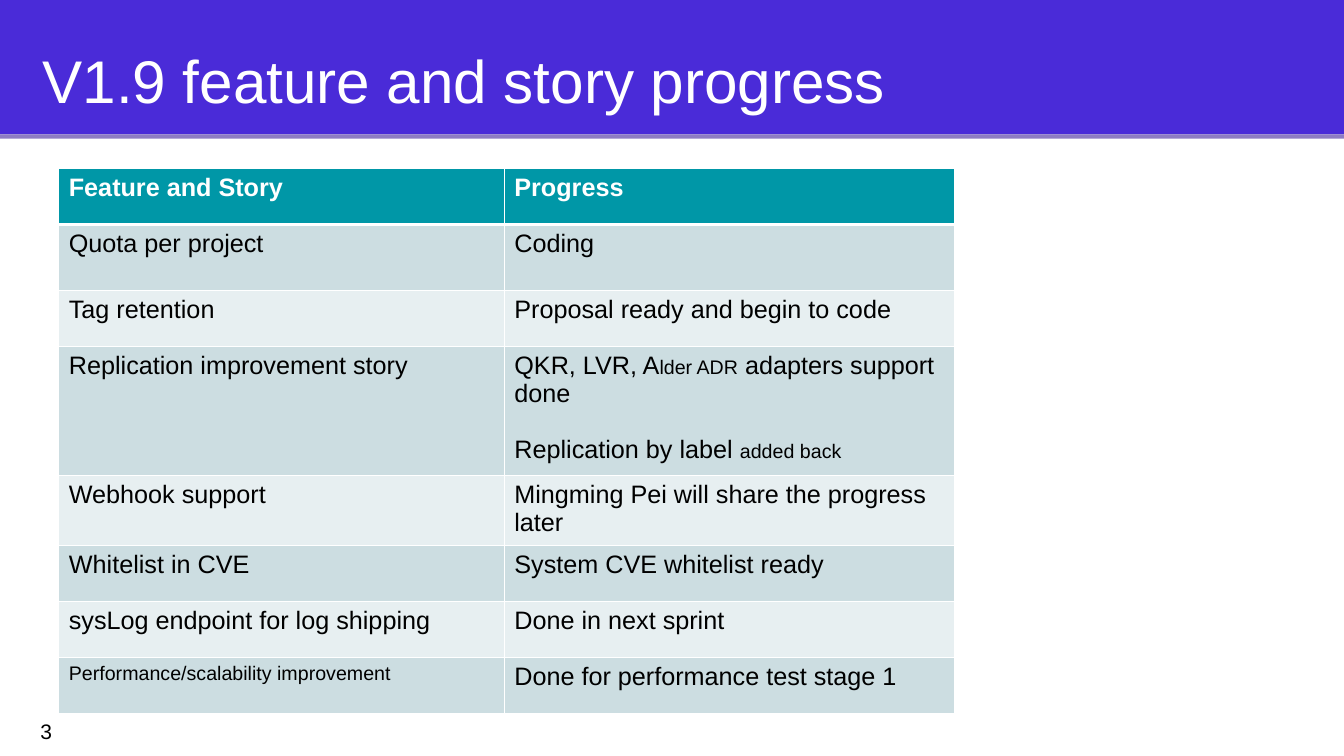
from dataclasses import dataclass

from lxml import etree
from pptx import Presentation
from pptx.dml.color import RGBColor
from pptx.enum.shapes import MSO_SHAPE
from pptx.enum.text import MSO_ANCHOR
from pptx.oxml.ns import qn
from pptx.util import Pt

RECT = MSO_SHAPE.RECTANGLE
TOP, MIDDLE = MSO_ANCHOR.TOP, MSO_ANCHOR.MIDDLE


@dataclass(frozen=True)
class Theme:
    font: str = "Arial"
    band: str = "4A2BD8"
    strip: str = "8E7CC3"
    header: str = "0097A7"
    rows: tuple = ("CCDDE1", "E7EFF1")
    light: str = "FFFFFF"
    dark: str = "000000"
    title: float = 43
    body: float = 18
    small: float = 14
    number: float = 15
    inset: float = 9.36
    gap: float = 20


T = Theme()

# Each cell is a list of paragraphs; each paragraph is a list of (text, size) runs
HEADINGS = ("Feature and Story", "Progress")
STORIES = [
    ("Quota per project", "Coding"),
    ("Tag retention", "Proposal ready and begin to code"),
    ("Replication improvement story", [
        [("QKR, LVR, A", T.body), ("lder ADR", T.small),
         (" adapters support done", T.body)],
        [("Replication by label ", T.body), ("added back", T.small)],
    ]),
    ("Webhook support", "Mingming Pei will share the progress later"),
    ("Whitelist in CVE", "System CVE whitelist ready"),
    ("sysLog endpoint for log shipping", "Done in next sprint"),
    ([[("Performance/scalability improvement", T.small)]],
     "Done for performance test stage 1"),
]
COL_WIDTHS = (318.24, 321.84)
ROW_HEIGHTS = (40, 47, 40, 88, 47, 40, 40, 40)


def style(font, size, color, bold=False):
    font.name, font.size, font.bold = T.font, Pt(size), bold
    font.color.rgb = RGBColor.from_string(color)


def add_bar(s, x, y, w, h, color):
    sp = s.shapes.add_shape(RECT, Pt(x), Pt(y), Pt(w), Pt(h))
    sp.shadow.inherit = False
    sp.fill.solid()
    sp.fill.fore_color.rgb = RGBColor.from_string(color)
    sp.line.fill.background()


def add_text(s, x, y, w, h, text, size, color, anchor):
    tf = s.shapes.add_textbox(Pt(x), Pt(y), Pt(w), Pt(h)).text_frame
    tf.word_wrap = True
    tf.vertical_anchor = anchor
    tf.margin_left = tf.margin_right = Pt(T.inset)
    tf.margin_top = tf.margin_bottom = Pt(T.inset)
    tf.text = text
    style(tf.paragraphs[0].runs[0].font, size, color)


def add_header(s, x, y, w, h):
    # Band, thin strip below it, and the title
    add_bar(s, x, y, w, h, T.band)
    add_bar(s, x, y + h, w, 3, T.strip)
    add_text(s, x + 21, y + 21.6, w - 66, 70, "V1.9 feature and story progress",
             T.title, T.light, TOP)


def set_borders(cell, widths):
    tcPr = cell._tc.get_or_add_tcPr()
    for side, width in widths.items():
        ln = etree.SubElement(tcPr, qn(f"a:ln{side}"), w=str(Pt(width)))
        fill = etree.SubElement(ln, qn("a:solidFill"))
        etree.SubElement(fill, qn("a:srgbClr"), val=T.light)


def fill_cell(cell, content, fill, color, bold):
    cell.fill.solid()
    cell.fill.fore_color.rgb = RGBColor.from_string(fill)
    if isinstance(content, str):
        content = [[(content, T.body)]]
    tf = cell.text_frame
    for i, runs in enumerate(content):
        p = tf.add_paragraph() if i else tf.paragraphs[0]
        if i:
            p.space_before = Pt(T.gap)
        for text, size in runs:
            r = p.add_run()
            r.text = text
            style(r.font, size, color, bold)


def add_progress_table(s, x, y):
    rows = [HEADINGS, *STORIES]
    table = s.shapes.add_table(len(rows), len(COL_WIDTHS), Pt(x), Pt(y),
                               Pt(sum(COL_WIDTHS)), Pt(sum(ROW_HEIGHTS))).table
    for col, width in zip(table.columns, COL_WIDTHS):
        col.width = Pt(width)
    for i, (row, height) in enumerate(zip(rows, ROW_HEIGHTS)):
        table.rows[i].height = Pt(height)
        head = i == 0
        fill = T.header if head else T.rows[(i - 1) % 2]
        # The rule under the heading row is thicker
        widths = {"L": 1, "R": 1, "T": 3 if i == 1 else 1, "B": 3 if head else 1}
        for j, content in enumerate(row):
            cell = table.cell(i, j)
            set_borders(cell, widths)
            fill_cell(cell, content, fill, T.light if head else T.dark, head)


def add_slide_number(s, x, y, w, h):
    add_text(s, x, y, w, h, "3", T.number, T.dark, MIDDLE)


def main():
    prs = Presentation()
    prs.slide_width, prs.slide_height = Pt(960), Pt(540)
    s = prs.slides.add_slide(prs.slide_layouts[6])
    add_header(s, 0, 0, 960, 96)
    add_progress_table(s, 42, 120.4)
    add_slide_number(s, 19.5, 505, 57.6, 35)
    prs.save("out.pptx")


if __name__ == "__main__":
    main()
